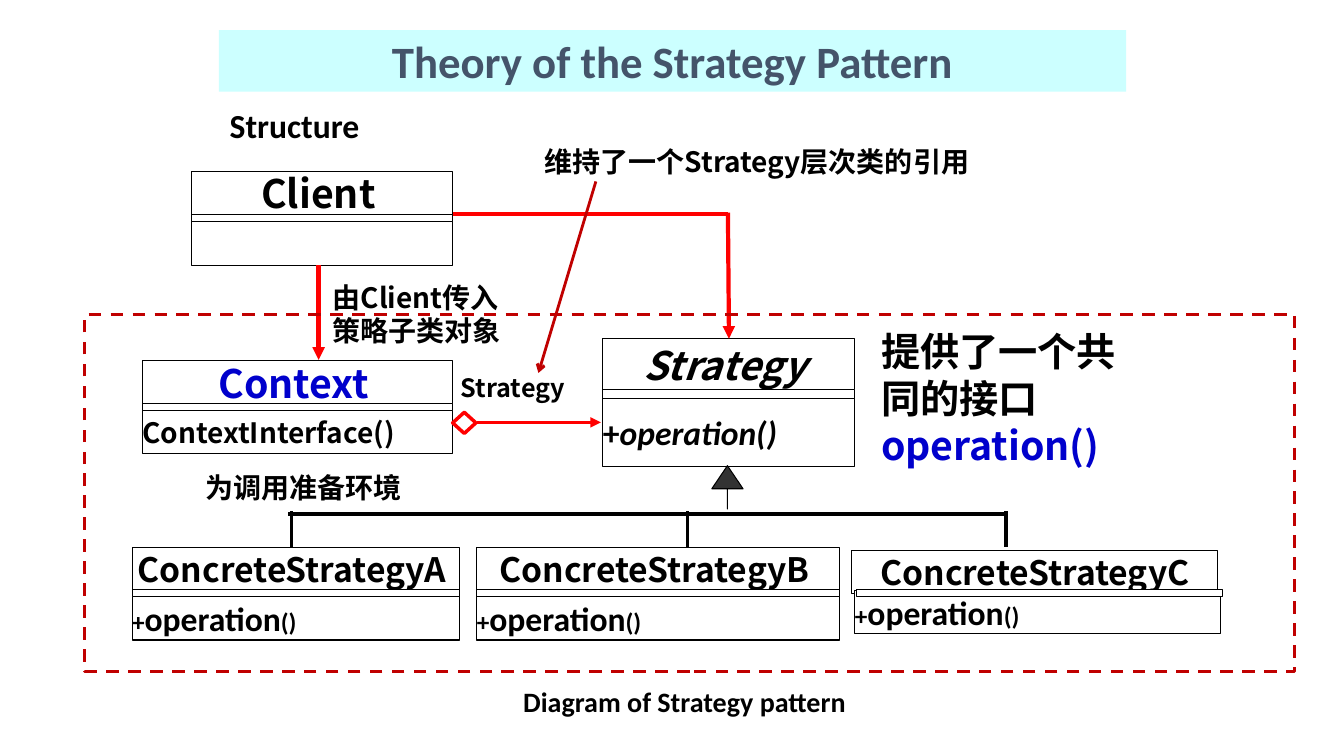
from dataclasses import dataclass

from lxml.etree import SubElement
from pptx import Presentation
from pptx.dml.color import RGBColor
from pptx.enum.dml import MSO_LINE
from pptx.enum.shapes import MSO_CONNECTOR, MSO_SHAPE
from pptx.enum.text import MSO_ANCHOR, MSO_AUTO_SIZE, PP_ALIGN
from pptx.oxml.ns import qn
from pptx.util import Pt

SCALE = 9144  # EMU in one px, 100 px to the inch


@dataclass(frozen=True)
class Theme:
    latin: str = "Calibri"
    cjk: str = "Noto Sans CJK SC"
    black: str = "000000"
    white: str = "FFFFFF"
    blue: str = "0000CC"
    red: str = "FF0000"
    crimson: str = "C00000"
    slate: str = "44546A"
    aqua: str = "CCFFFF"
    gray: str = "333333"
    title: int = 32
    head: int = 28
    name: int = 24
    note: int = 20
    small: int = 18
    thin: float = 0.75
    bar: float = 2.5
    thick: float = 3


@dataclass(frozen=True)
class Run:
    text: str
    size: int
    font: str = Theme.cjk
    color: str = Theme.black
    italic: bool = False


def px(*values):
    return [v * SCALE for v in values]


class Board:
    def __init__(self, theme, slide):
        self.theme, self.slide = theme, slide

    def put(self, frame, paras, align=PP_ALIGN.LEFT):
        """Fill a text frame with paragraphs, run by run."""
        for i, runs in enumerate(paras):
            para = frame.paragraphs[0] if i == 0 else frame.add_paragraph()
            para.alignment = align
            for item in runs:
                run = para.add_run()
                run.text = item.text
                font = run.font
                font.name, font.size = item.font, Pt(item.size)
                font.bold, font.italic = True, item.italic
                font.color.rgb = RGBColor.from_string(item.color)
                east = SubElement(font._element, qn("a:ea"))
                east.set("typeface", item.font)

    def fill(self, shape, color):
        shape.fill.solid()
        shape.fill.fore_color.rgb = RGBColor.from_string(color)

    def title(self, text, *area):
        shape = self.slide.shapes.title
        shape.left, shape.top, shape.width, shape.height = px(*area)
        self.fill(shape, self.theme.aqua)
        frame = shape.text_frame
        frame.auto_size = MSO_AUTO_SIZE.NONE
        frame.vertical_anchor = MSO_ANCHOR.MIDDLE
        run = Run(text, self.theme.title, self.theme.latin, self.theme.slate)
        self.put(frame, [[run]], PP_ALIGN.CENTER)

    def text(self, area, *paras, align=PP_ALIGN.LEFT, wrap=True):
        shape = self.slide.shapes.add_textbox(*px(*area))
        frame = shape.text_frame
        frame.word_wrap = wrap
        frame.auto_size = MSO_AUTO_SIZE.SHAPE_TO_FIT_TEXT
        self.put(frame, paras, align)
        return shape

    def shape(self, kind, area, fill=None, line=Theme.black, width=Theme.thin, home=None):
        shapes = (home or self.slide).shapes
        shape = shapes.add_shape(kind, *px(*area))
        shape.shadow.inherit = False
        if fill:
            self.fill(shape, fill)
        else:
            shape.fill.background()
        shape.line.color.rgb = RGBColor.from_string(line)
        shape.line.width = Pt(width)
        return shape

    def cell(self, home, area, runs=(), align=PP_ALIGN.LEFT):
        shape = self.shape(MSO_SHAPE.RECTANGLE, area, self.theme.white, home=home)
        if runs:
            frame = shape.text_frame
            frame.margin_left = frame.margin_right = 0
            frame.margin_top = frame.margin_bottom = 0
            frame.word_wrap = False
            frame.vertical_anchor = MSO_ANCHOR.MIDDLE
            self.put(frame, [runs], align)
        return shape

    def node(self, left, top, width, name, body=(), rows=(43, 7, 43), skew=(0, 0, 0, 0)):
        """Draw a UML class: name, thin band and body; skew shifts body x, y and band x, y."""
        home = self.slide.shapes.add_group_shape()
        high, band, low = rows
        bx, by, sx, sy = skew
        head = self.cell(home, (left, top, width, high), name, PP_ALIGN.CENTER)
        self.cell(home, (left + bx, top + high + band + by, width, low), body)
        self.cell(home, (left + sx, top + high + sy, width, band))
        return head

    def line(self, start, end, color, width, tip=None):
        link = self.slide.shapes.add_connector(MSO_CONNECTOR.STRAIGHT, *px(*start, *end))
        link.line.color.rgb = RGBColor.from_string(color)
        link.line.width = Pt(width)
        props = link._element.spPr
        if tip:
            SubElement(props.find(qn("a:ln")), qn("a:tailEnd")).set("type", tip)
        SubElement(props, qn("a:effectLst"))
        return link


def main():
    deck = Presentation()
    deck.slide_width, deck.slide_height = px(1333, 750)
    t = Theme()
    board = Board(t, deck.slides.add_slide(deck.slide_layouts[5]))

    board.title("Theory of the Strategy Pattern", 217, 30, 900, 61)
    board.text((218, 99, 150, 50), [Run("Structure", t.name, t.latin)], wrap=False)

    # Inheritance tree
    board.line((286, 510), (998, 510), t.black, t.bar)
    for x in (289, 682, 998):
        board.line((x, 507), (x, 543), t.black, t.bar)
    body = [Run("+", t.small, t.latin), Run("operation", t.name, t.latin),
            Run("()", t.small, t.latin)]
    for letter, left, top, width, skew in (
        ("A ", 131, 543, 325, (0, -1, 0, -1)),
        ("B ", 473, 543, 360, (0, -1, 0, -1)),
        ("C", 845, 546, 363, (3, -10, 5, -4)),
    ):
        board.node(left, top, width, [Run("ConcreteStrategy" + letter, t.name)], body, skew=skew)

    # Main classes
    strategy = board.node(
        598, 336, 250, [Run("Strategy ", t.head, italic=True)],
        [Run("+", t.name, t.latin), Run("operation()", t.name, t.latin, italic=True)],
        rows=(51, 9, 68), skew=(0, -1, 0, -1))
    board.node(141, 358, 308, [Run("Context", t.head, color=t.blue), Run(" ", t.name, t.latin)],
               [Run("ContextInterface()", t.note)], skew=(0, -1, 0, -1))
    board.node(190, 170, 259, [Run("Client", t.head), Run(" ", t.name, t.latin)])

    # Aggregation
    board.line((473, 419), (596, 419), t.red, t.bar, "triangle")
    board.shape(MSO_SHAPE.DIAMOND, (449, 409, 23, 21), t.white, t.red, t.bar)
    label = board.text((457, 364, 129, 40), [Run("Strategy", t.small)])
    board.fill(label, t.white)
    label.text_frame.margin_left = label.text_frame.margin_right = 0

    # Links from the client
    board.line((449, 212), (722, 212), t.red, t.thick)
    drop = board.line((722, 211), (723, 336), t.red, t.thick, "triangle")
    drop.end_connect(strategy, 0)
    board.line((316, 263), (316, 357), t.red, t.thick, "triangle")

    # Notes
    board.text((226, 674, 906, 43), [Run("Diagram of Strategy pattern", t.note, t.latin)],
               align=PP_ALIGN.CENTER)
    board.text((864, 320, 268, 151), [Run("提供了一个共同的接口", t.head),
                                      Run("operation()", t.head, color=t.blue)])
    board.text((194, 462, 228, 43), [Run("为调用准备环境", t.note)])
    board.text((320, 273, 205, 77), [Run("由Client传入", t.note)], [Run("策略子类对象", t.note)])
    board.text((530, 138, 499, 44), [Run("维持了一个Strategy层次类的引用", t.note)])
    board.line((591, 180), (534, 370), t.crimson, 2, "arrow")

    arrow = board.shape(MSO_SHAPE.UP_ARROW, (706, 462, 31, 43), t.gray)
    arrow.adjustments[0], arrow.adjustments[1] = 0, 0.74
    frame = board.shape(MSO_SHAPE.RECTANGLE, (84, 312, 1200, 354), line=t.crimson, width=2.25)
    frame.line.dash_style = MSO_LINE.DASH

    deck.save("out.pptx")


if __name__ == "__main__":
    main()
